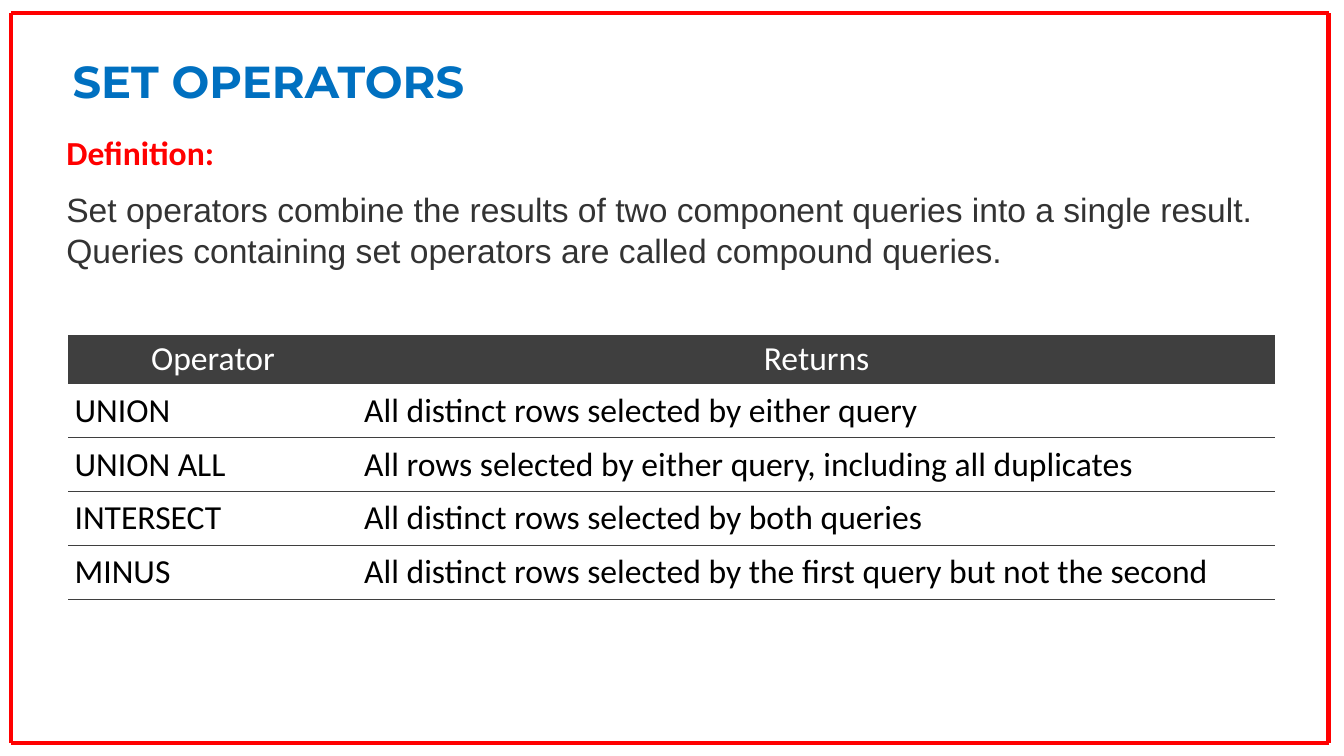
"""Build a slide that defines set operators and lists them in a table."""
from dataclasses import dataclass

from lxml import etree
from pptx import Presentation
from pptx.dml.color import RGBColor
from pptx.enum.shapes import MSO_CONNECTOR, MSO_SHAPE
from pptx.enum.text import MSO_ANCHOR, MSO_AUTO_SIZE, PP_ALIGN
from pptx.oxml.ns import qn
from pptx.util import Pt

STRAIGHT = MSO_CONNECTOR.STRAIGHT
RECTANGLE = MSO_SHAPE.RECTANGLE
TOP, MIDDLE, BOTTOM = MSO_ANCHOR.TOP, MSO_ANCHOR.MIDDLE, MSO_ANCHOR.BOTTOM
LEFT, CENTER = PP_ALIGN.LEFT, PP_ALIGN.CENTER
FIT_SHAPE = MSO_AUTO_SIZE.SHAPE_TO_FIT_TEXT

TITLE_ONLY_LAYOUT = 5
RED, BLUE, WHITE, BLACK = "FF0000", "0070C0", "FFFFFF", "000000"
TEXT_GRAY, TABLE_GRAY = "333333", "3F3F3F"


@dataclass(frozen=True)
class Box:
    left: float
    top: float
    width: float
    height: float

    def lengths(self):
        return Pt(self.left), Pt(self.top), Pt(self.width), Pt(self.height)


@dataclass(frozen=True)
class Line:
    start: tuple[float, float]
    end: tuple[float, float]


@dataclass(frozen=True)
class TextStyle:
    font: str
    size: float
    color: str
    bold: bool = False
    align: PP_ALIGN = LEFT
    space_before: float = 0


@dataclass(frozen=True)
class RowStyle:
    text: TextStyle
    fill: str
    height: float
    margin: float
    anchor: MSO_ANCHOR


TITLE_BOX = Box(44.6, 34.6, 314.6, 46)
DEFINITION_BOX = Box(40.3, 93.6, 903.6, 104.4)
TABLE_BOX = Box(48.7, 239.2, 862.4, 189)

FRAME_LEFT, FRAME_TOP, FRAME_RIGHT, FRAME_BOTTOM = 8, 9.4, 949, 531
FRAME_LINES = [
    Line((FRAME_LEFT, FRAME_TOP), (FRAME_LEFT, FRAME_BOTTOM)),
    Line((FRAME_RIGHT, FRAME_TOP), (FRAME_RIGHT, FRAME_BOTTOM)),
    Line((FRAME_LEFT, FRAME_TOP), (FRAME_RIGHT, FRAME_TOP)),
    Line((FRAME_LEFT, FRAME_BOTTOM), (FRAME_RIGHT, FRAME_BOTTOM)),
]

TITLE_STYLE = TextStyle("Montserrat", 32, BLUE, bold=True)
DEFINITION = [
    ("Definition:", TextStyle("Calibri", 24, RED, bold=True)),
    (
        "Set operators combine the results of two component queries into a single "
        "result. Queries containing set operators are called compound queries.",
        TextStyle("Arial", 24, TEXT_GRAY, space_before=12.5),
    ),
]

HEADER = RowStyle(TextStyle("Calibri", 24, WHITE, align=CENTER), TABLE_GRAY, 35, 2.9, BOTTOM)
BODY = RowStyle(TextStyle("Calibri", 24, BLACK), WHITE, 38.5, 4.6, TOP)
COLUMN_WIDTHS = [206.9, 655.5]
OPERATORS = [
    ("Operator", "Returns"),
    ("UNION", "All distinct rows selected by either query"),
    ("UNION ALL", "All rows selected by either query, including all duplicates"),
    ("INTERSECT", "All distinct rows selected by both queries"),
    ("MINUS", "All distinct rows selected by the first query but not the second"),
]
RULE_WIDTHS = [0.6] * len(OPERATORS) + [1.2]


def set_color(color_format, value: str) -> None:
    color_format.rgb = RGBColor.from_string(value)


def set_fill(fill, color: str) -> None:
    fill.solid()
    set_color(fill.fore_color, color)


def write(paragraph, text: str, style: TextStyle) -> None:
    paragraph.text = text
    paragraph.alignment = style.align
    paragraph.space_before = Pt(style.space_before)
    paragraph.font.name = style.font
    paragraph.font.size = Pt(style.size)
    paragraph.font.bold = style.bold
    set_color(paragraph.font.color, style.color)


def set_margins(target, left: float, top: float, right: float, bottom: float) -> None:
    target.margin_left, target.margin_top = Pt(left), Pt(top)
    target.margin_right, target.margin_bottom = Pt(right), Pt(bottom)


def add_title(slide) -> None:
    title = slide.shapes.title
    title.left, title.top, title.width, title.height = TITLE_BOX.lengths()
    frame = title.text_frame
    frame.word_wrap = False
    frame.auto_size = FIT_SHAPE
    frame.vertical_anchor = TOP
    set_margins(frame, 7.2, 3.6, 7.2, 3.6)
    write(frame.paragraphs[0], "SET OPERATORS", TITLE_STYLE)


def add_frame_line(slide, line: Line) -> None:
    points = (Pt(value) for value in line.start + line.end)
    connector = slide.shapes.add_connector(STRAIGHT, *points)
    connector.line.width = Pt(3)
    set_color(connector.line.color, RED)
    etree.SubElement(connector._element.spPr, qn("a:effectLst"))


def add_definition(slide) -> None:
    shape = slide.shapes.add_shape(RECTANGLE, *DEFINITION_BOX.lengths())
    shape.shadow.inherit = False
    set_fill(shape.fill, WHITE)
    shape.line.fill.background()
    frame = shape.text_frame
    frame.word_wrap = True
    frame.auto_size = FIT_SHAPE
    frame.vertical_anchor = MIDDLE
    set_margins(frame, 7.2, 0, 7.2, 5)
    for index, (text, style) in enumerate(DEFINITION):
        paragraph = frame.add_paragraph() if index else frame.paragraphs[0]
        write(paragraph, text, style)


def add_border(cell, edge: str, width: float) -> None:
    properties = cell._tc.get_or_add_tcPr()
    border = etree.SubElement(properties, qn(f"a:{edge}"), w=str(Pt(width)))
    if width:
        fill = etree.SubElement(border, qn("a:solidFill"))
        etree.SubElement(fill, qn("a:srgbClr"), val=TABLE_GRAY)
    else:
        etree.SubElement(border, qn("a:noFill"))


def add_operator_table(slide) -> None:
    size = len(OPERATORS), len(COLUMN_WIDTHS)
    table = slide.shapes.add_table(*size, *TABLE_BOX.lengths()).table
    table.first_row = False
    table.horz_banding = False
    for column, width in zip(table.columns, COLUMN_WIDTHS):
        column.width = Pt(width)
    for row_index, texts in enumerate(OPERATORS):
        style = BODY if row_index else HEADER
        row = table.rows[row_index]
        row.height = Pt(style.height)
        above, below = RULE_WIDTHS[row_index:row_index + 2]
        for cell, text in zip(row.cells, texts):
            for edge, width in (("lnL", 0), ("lnR", 0), ("lnT", above), ("lnB", below)):
                add_border(cell, edge, width)
            set_fill(cell.fill, style.fill)
            set_margins(cell, *[style.margin] * 4)
            cell.vertical_anchor = style.anchor
            write(cell.text_frame.paragraphs[0], text, style.text)


def main() -> None:
    presentation = Presentation()
    presentation.slide_width, presentation.slide_height = Pt(960), Pt(540)
    slide = presentation.slides.add_slide(presentation.slide_layouts[TITLE_ONLY_LAYOUT])
    add_title(slide)
    for line in FRAME_LINES:
        add_frame_line(slide, line)
    add_definition(slide)
    add_operator_table(slide)
    presentation.save("out.pptx")


if __name__ == "__main__":
    main()
